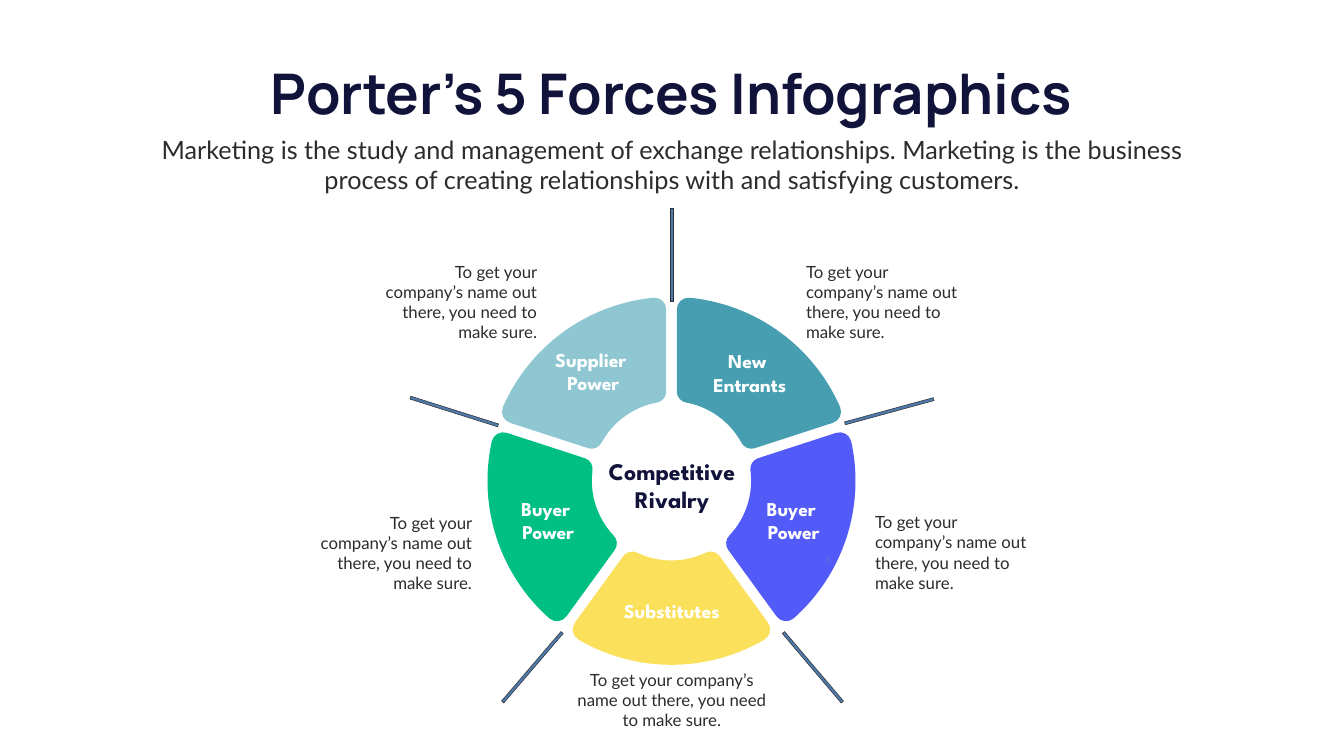
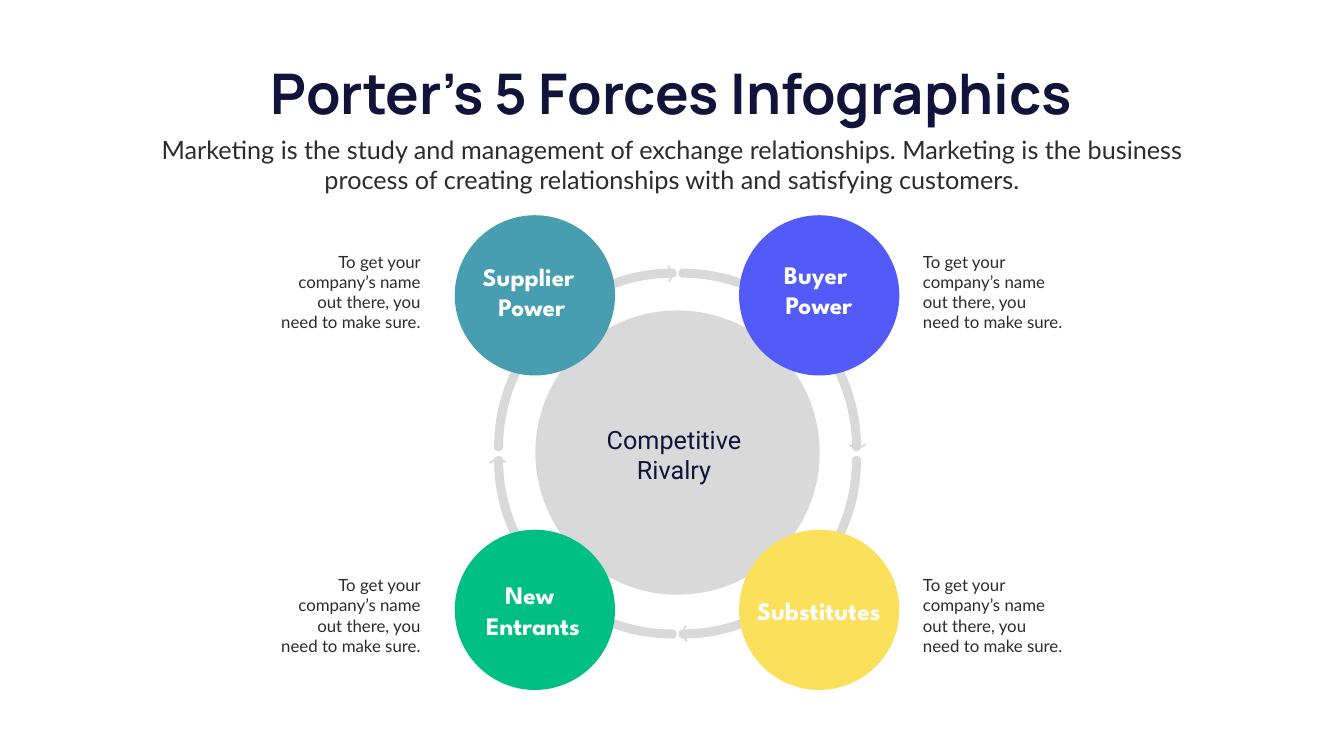
from math import asin, atan2, ceil, cos, degrees, floor, hypot, radians, sin, tan

from lxml import etree
from pptx import Presentation
from pptx.dml.color import RGBColor
from pptx.enum.shapes import MSO_SHAPE
from pptx.enum.text import MSO_ANCHOR, MSO_AUTO_SIZE, PP_ALIGN
from pptx.oxml.ns import qn
from pptx.util import Inches, Pt

OVAL = MSO_SHAPE.OVAL
TOP = MSO_ANCHOR.TOP
NO_FIT = MSO_AUTO_SIZE.NONE
LEFT, CENTER, RIGHT = PP_ALIGN.LEFT, PP_ALIGN.CENTER, PP_ALIGN.RIGHT

COLUMNS, ROWS = 26.66, 15
CELL = Inches(1)

NAVY, INK, WHITE, GREY = "11133A", "2D2C2D", "FFFFFF", "D9D9D9"
TEAL, BLUE, YELLOW, GREEN, SKY = "469EB0", "525BF8", "FBE05C", "00BF83", "8EC6D2"
STEEL, LIME = "4F7BAC", "7DE314"

TITLE = "Porter's 5 Forces Infographics"
SUBTITLE = ("Marketing is the study and management of exchange relationships. "
            "Marketing is the business process of creating relationships with "
            "and satisfying customers.")
NOTE = "To get your company’s name out there, you need to make sure."


def color(value):
    return RGBColor.from_string(value)


def cells(*lengths):
    return [round(length * CELL) for length in lengths]


def write(box, lines, font, size, tint, align=CENTER, bold=False, wrap=True):
    frame = box.text_frame
    frame.word_wrap = wrap
    frame.auto_size = NO_FIT
    frame.vertical_anchor = TOP
    for index, line in enumerate(lines):
        para = frame.add_paragraph() if index else frame.paragraphs[0]
        para.alignment = align
        para.space_before = Pt(0)
        span = para.add_run()
        span.text = line
        span.font.name = font
        span.font.size = Pt(size)
        span.font.bold = bold
        span.font.color.rgb = color(tint)


def add_text(page, area, lines, font, size, tint, align=CENTER, bold=False):
    box = page.shapes.add_textbox(*cells(*area))
    write(box, lines, font, size, tint, align, bold)


def add_label(page, area, lines, size, tint=WHITE):
    add_text(page, area, lines, "League Spartan", size, tint, bold=True)


def add_note(page, area, align):
    add_text(page, area, [NOTE], "Lato", 24, INK, align)


def paint(shape, fill, line=None, width=0.75):
    shape.shadow.inherit = False
    shape.fill.solid()
    shape.fill.fore_color.rgb = color(fill)
    if line:
        shape.line.color.rgb = color(line)
        shape.line.width = Pt(width)
    else:
        shape.line.fill.background()


def bend_line(shape, line, controls):
    line.tag = qn("a:cubicBezTo")
    for position, control in enumerate(controls):
        x, y = cells(*control)
        point = etree.Element(qn("a:pt"), x=str(x - shape.left), y=str(y - shape.top))
        line.insert(position, point)


def add_outline(page, start, steps, fill, line=None, width=0.75):
    builder = page.shapes.build_freeform(*cells(*start))
    builder.add_line_segments([cells(*step[-1]) for step in steps], close=True)
    shape = builder.convert_to_shape()
    segments = list(shape.element.iter(qn("a:lnTo")))
    for segment, step in zip(segments, steps):
        if len(step) == 3:
            bend_line(shape, segment, step[:2])
    paint(shape, fill, line, width)


def add_polygon(page, points, fill, line=None):
    add_outline(page, points[0], [(point,) for point in points[1:]], fill, line)


def add_disc(page, left, top, size, fill):
    paint(page.shapes.add_shape(OVAL, *cells(left, top, size, size)), fill)


def polar(center, radius, angle):
    turn = radians(angle)
    return center[0] + radius * cos(turn), center[1] + radius * sin(turn)


def arc(center, radius, first, last):
    reach = 4 / 3 * tan(radians(last - first) / 4)
    tilt, length = degrees(atan2(reach, 1)), radius * hypot(1, reach)
    return (polar(center, length, first + tilt),
            polar(center, length, last - tilt),
            polar(center, radius, last))


def split_arc(center, radius, first, last):
    axes = [90 * turn for turn in range(ceil(first / 90), floor(last / 90) + 1)]
    stops = [first, *axes, last]
    return [arc(center, radius, a, b) for a, b in zip(stops, stops[1:])]


def rounded(before, corner, after, pull=0.55):
    def toward(point):
        return tuple(a + pull * (b - a) for a, b in zip(point, corner))

    return toward(before), toward(after), after


def add_sector(page, center, inner, outer, first, last, fill, gap=0.105):
    bend_in, bend_out = 0.19, 0.25

    def edge(radius, angle, side):
        return polar(center, radius, angle + side * degrees(asin(gap / radius)))

    def limits(radius, bend):
        margin = degrees(asin(gap / radius) + bend / radius)
        return first + margin, last - margin

    out_first, out_last = limits(outer, bend_out)
    in_first, in_last = limits(inner, bend_in)
    start = edge(outer - bend_out, first, 1)
    steps = [
        rounded(start, edge(outer, first, 1), polar(center, outer, out_first)),
        *split_arc(center, outer, out_first, out_last),
        rounded(polar(center, outer, out_last), edge(outer, last, -1),
                edge(outer - bend_out, last, -1)),
        (edge(inner + bend_in, last, -1),),
        rounded(edge(inner + bend_in, last, -1), edge(inner, last, -1),
                polar(center, inner, in_last)),
        arc(center, inner, in_last, in_first),
        rounded(polar(center, inner, in_first), edge(inner, first, 1),
                edge(inner + bend_in, first, 1)),
    ]
    add_outline(page, start, steps, fill)


def add_spoke(page, start, end, thickness=0.06):
    across, down = end[0] - start[0], end[1] - start[1]
    half = thickness / 2 / hypot(across, down)
    shift_x, shift_y = -down * half, across * half
    points = [(x + side * shift_x, y + side * shift_y)
              for (x, y), side in ((start, 1), (end, 1), (end, -1), (start, -1))]
    add_polygon(page, points, STEEL, INK)


def add_band(page, center, first, last):
    outer, inner = 3.48, 3.44
    middle = (first + last) / 2
    steps = [
        arc(center, outer, first, last),
        (polar(center, inner, last),),
        arc(center, inner, last, middle),
        arc(center, inner, middle, first),
    ]
    add_outline(page, polar(center, outer, first), steps, GREY, GREY, 10)


def add_chevron(page, tip, angle):
    outline = [(-0.14, -0.15), (-0.04, 0), (-0.12, 0.15),
               (-0.09, 0.17), (0, 0), (-0.11, -0.17)]
    points = [polar(tip, hypot(x, y), angle + degrees(atan2(y, x)))
              for x, y in outline]
    add_polygon(page, points, GREY)


def add_page(deck):
    page = deck.slides.add_slide(deck.slide_layouts[0])
    title, subtitle = page.placeholders
    title.left, title.top, title.width, title.height = cells(4.72, 1.12, 17.21, 1.45)
    write(title, [TITLE], "Manrope", 80, NAVY, bold=True, wrap=False)
    subtitle.left, subtitle.top, subtitle.width, subtitle.height = cells(
        2.92, 2.61, 20.82, 1.31)
    write(subtitle, [SUBTITLE], "Lato", 36, INK)
    return page


def build_wheel(deck):
    page = add_page(deck)
    hub = (13.32, 9.54)
    for index, fill in enumerate((TEAL, BLUE, YELLOW, GREEN, SKY)):
        first = -90 + 72 * index
        add_sector(page, hub, 1.58, 3.65, first, first + 72, fill)
    add_polygon(page, [(16.39, 11.16), (16.45, 11.05), (16.43, 11.09)], LIME)

    for start, end in (
        ((16.76, 8.4), (18.52, 7.92)),
        ((9.88, 8.44), (8.14, 7.89)),
        ((15.54, 12.55), (16.71, 13.93)),
        ((11.15, 12.55), (9.97, 13.93)),
        ((13.33, 5.97), (13.33, 4.13)),
    ):
        add_spoke(page, start, end)

    for area, lines in (
        ((13.16, 6.88, 3.43, 1.18), ["New ", "Entrants"]),
        ((14.44, 9.8, 2.61, 1.18), ["Buyer ", "Power"]),
        ((11.61, 11.83, 3.43, 0.65), ["Substitutes"]),
        ((10.49, 6.85, 2.56, 1.18), ["Supplier ", "Power"]),
        ((9.57, 9.8, 2.61, 1.18), ["Buyer ", "Power"]),
    ):
        add_label(page, area, lines, 28)
    add_label(page, (11.55, 9.01, 3.56, 1.25), ["Competitive", "Rivalry"], 34, NAVY)

    for left, top, align in (
        (15.89, 5.14, LEFT), (17.26, 10.11, LEFT),
        (7.49, 5.14, RIGHT), (6.2, 10.12, RIGHT),
    ):
        add_note(page, (left, top, 3.26, 1.72), align)
    add_note(page, (11.23, 13.24, 4.19, 1.31), CENTER)


def build_cycle(deck):
    page = add_page(deck)
    hub_x, hub_y = 13.44, 9
    add_disc(page, 10.62, 6.16, 5.64, GREY)
    for index, (side_x, side_y) in enumerate(((-1, -1), (1, -1), (1, 1), (-1, 1))):
        center = (hub_x + 0.09 * side_x, hub_y + 0.12 * side_y)
        first = 180 + 90 * index
        add_band(page, center, first, first + 90)
        tip = polar((hub_x, hub_y), 3.57, 269 + 90 * index)
        add_chevron(page, tip, 90 * index)

    for left, top, fill in (
        (14.66, 4.27, BLUE), (9.02, 4.27, TEAL),
        (14.66, 10.51, YELLOW), (9.02, 10.51, GREEN),
    ):
        add_disc(page, left, top, 3.18, fill)

    for area, lines in (
        ((8.86, 11.45, 3.43, 1.31), ["New ", "Entrants"]),
        ((14.94, 5.1, 2.61, 1.31), ["Buyer ", "Power"]),
        ((14.53, 11.77, 3.43, 0.71), ["Substitutes"]),
        ((9.27, 5.14, 2.56, 1.31), ["Supplier ", "Power"]),
    ):
        add_label(page, area, lines, 36)
    add_text(page, (11.74, 8.37, 3.26, 1.31), ["Competitive Rivalry"],
             "Roboto", 36, NAVY)

    for left, align in ((18.21, LEFT), (5.41, RIGHT)):
        for top in (4.94, 11.36):
            add_note(page, (left, top, 3.03, 1.72), align)


def main():
    deck = Presentation()
    deck.slide_width, deck.slide_height = cells(COLUMNS, ROWS)
    build_wheel(deck)
    build_cycle(deck)
    deck.save("out.pptx")


if __name__ == "__main__":
    main()
